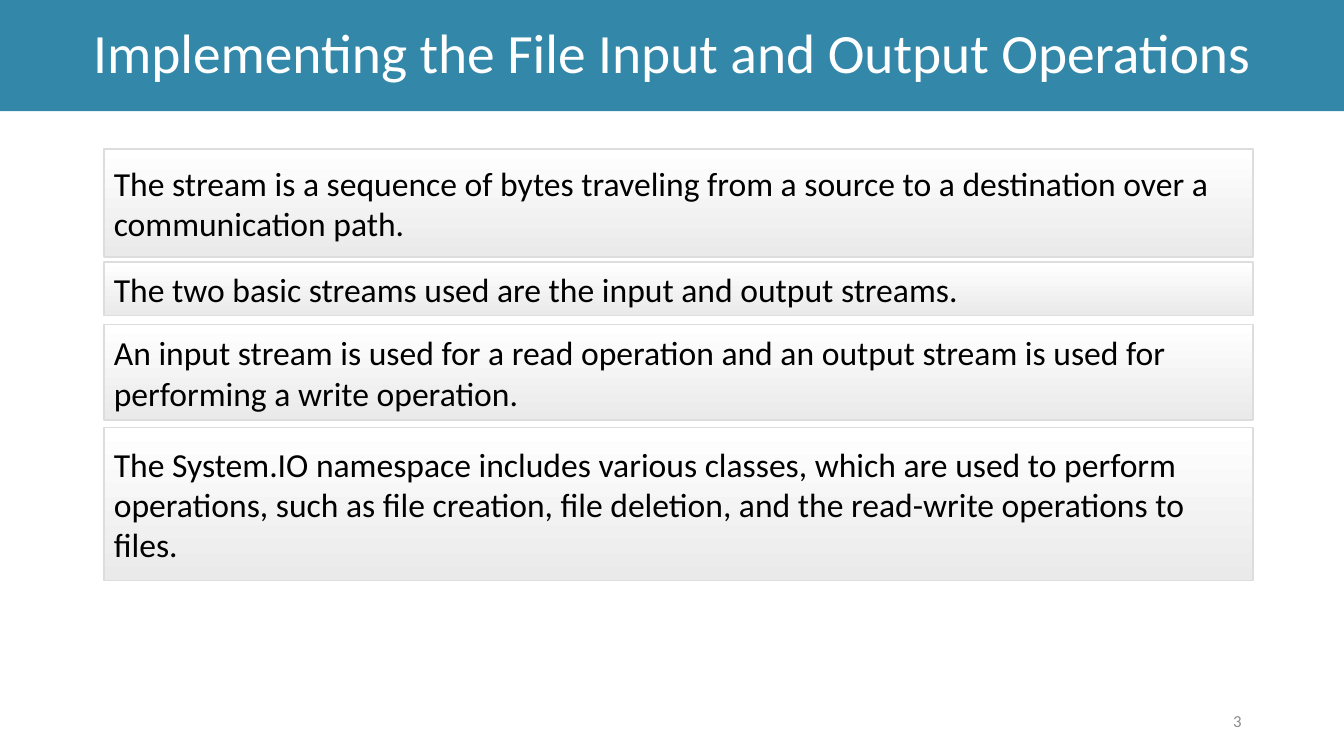
from dataclasses import dataclass

from pptx import Presentation
from pptx import util as u
from pptx.dml import color
from pptx.enum import shapes, text


@dataclass(frozen=True)
class Theme:
    font: str = "Calibri"
    banner: str = "3388A9"
    banner_text: str = "FFFFFF"
    panel_top: str = "FFFFFF"
    panel_bottom: str = "EAEAEA"
    panel_edge: str = "DDDDDD"
    body_text: str = "000000"
    number_text: str = "8C8C8C"
    title_size: float = 39.6
    body_size: float = 24
    number_size: float = 12


THEME = Theme()
SLIDE_WIDTH, SLIDE_HEIGHT = 33.87, 19.05
PANEL_LEFT, PANEL_WIDTH = 2.62, 28.96

STATEMENTS = [
    (3.76, 2.72, "The stream is a sequence of bytes traveling from a source "
                 "to a destination over a communication path."),
    (6.6, 1.35, "The two basic streams used are the input and output streams."),
    (8.18, 2.41, "An input stream is used for a read operation and an output "
                 "stream is used for performing a write operation."),
    (10.77, 3.86, "The System.IO namespace includes various classes, which are "
                  "used to perform operations, such as file creation, file "
                  "deletion, and the read-write operations to files."),
]


def rgb(value):
    return color.RGBColor.from_string(value)


def write(holder, words, *, size, ink, align=text.PP_ALIGN.LEFT, spacing=1.0):
    frame = holder.text_frame
    frame.word_wrap = True
    frame.vertical_anchor = text.MSO_ANCHOR.MIDDLE
    paragraph = frame.paragraphs[0]
    paragraph.alignment = align
    paragraph.line_spacing = spacing
    run = paragraph.add_run()
    run.text = words
    run.font.name = THEME.font
    run.font.size = u.Pt(size)
    run.font.color.rgb = rgb(ink)


def add_rectangle(slide, left, top, width, height):
    rectangle = slide.shapes.add_shape(
        shapes.MSO_SHAPE.RECTANGLE, u.Cm(left), u.Cm(top), u.Cm(width), u.Cm(height))
    rectangle.shadow.inherit = False
    return rectangle


def add_banner(slide, title):
    banner = add_rectangle(slide, 0, 0, SLIDE_WIDTH, 2.8)
    banner.fill.solid()
    banner.fill.fore_color.rgb = rgb(THEME.banner)
    banner.line.fill.background()
    write(banner, title, size=THEME.title_size, ink=THEME.banner_text,
          align=text.PP_ALIGN.CENTER, spacing=0.9)


def add_panel(slide, top, height, statement):
    panel = add_rectangle(slide, PANEL_LEFT, top, PANEL_WIDTH, height)
    panel.fill.gradient()
    panel.fill.gradient_angle = 270
    shades = (THEME.panel_top, THEME.panel_bottom)
    for position, (stop, shade) in enumerate(zip(panel.fill.gradient_stops, shades)):
        stop.position = position
        stop.color.rgb = rgb(shade)
    panel.line.color.rgb = rgb(THEME.panel_edge)
    panel.line.width = u.Pt(1)
    write(panel, statement, size=THEME.body_size, ink=THEME.body_text)


def add_page_number(slide, number):
    page_number = slide.shapes.add_textbox(u.Cm(23.92), u.Cm(17.66), u.Cm(7.62), u.Cm(1.01))
    write(page_number, number, size=THEME.number_size, ink=THEME.number_text,
          align=text.PP_ALIGN.RIGHT)


def main():
    deck = Presentation()
    deck.slide_width, deck.slide_height = u.Cm(SLIDE_WIDTH), u.Cm(SLIDE_HEIGHT)
    slide = deck.slides.add_slide(deck.slide_layouts[6])
    add_banner(slide, "Implementing the File Input and Output Operations")
    add_page_number(slide, "3")
    for top, height, statement in STATEMENTS:
        add_panel(slide, top, height, statement)
    deck.save("out.pptx")


if __name__ == "__main__":
    main()
